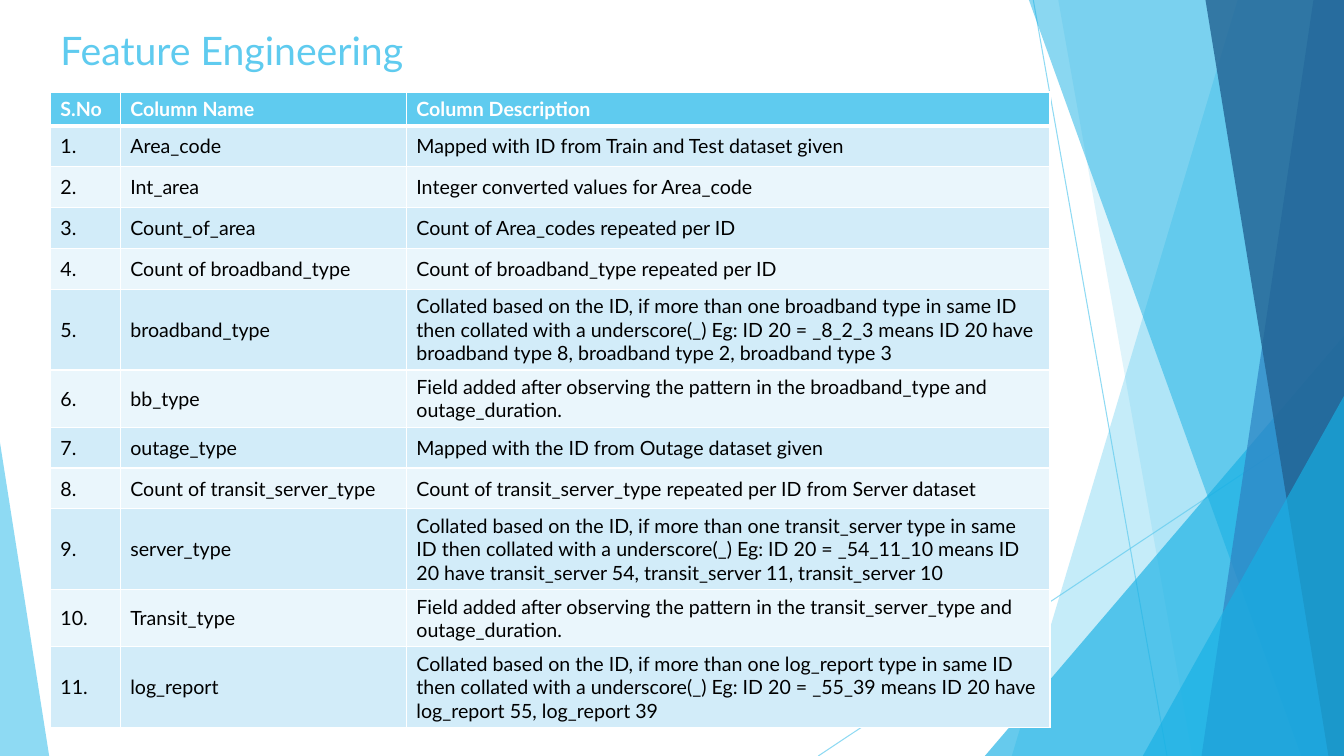
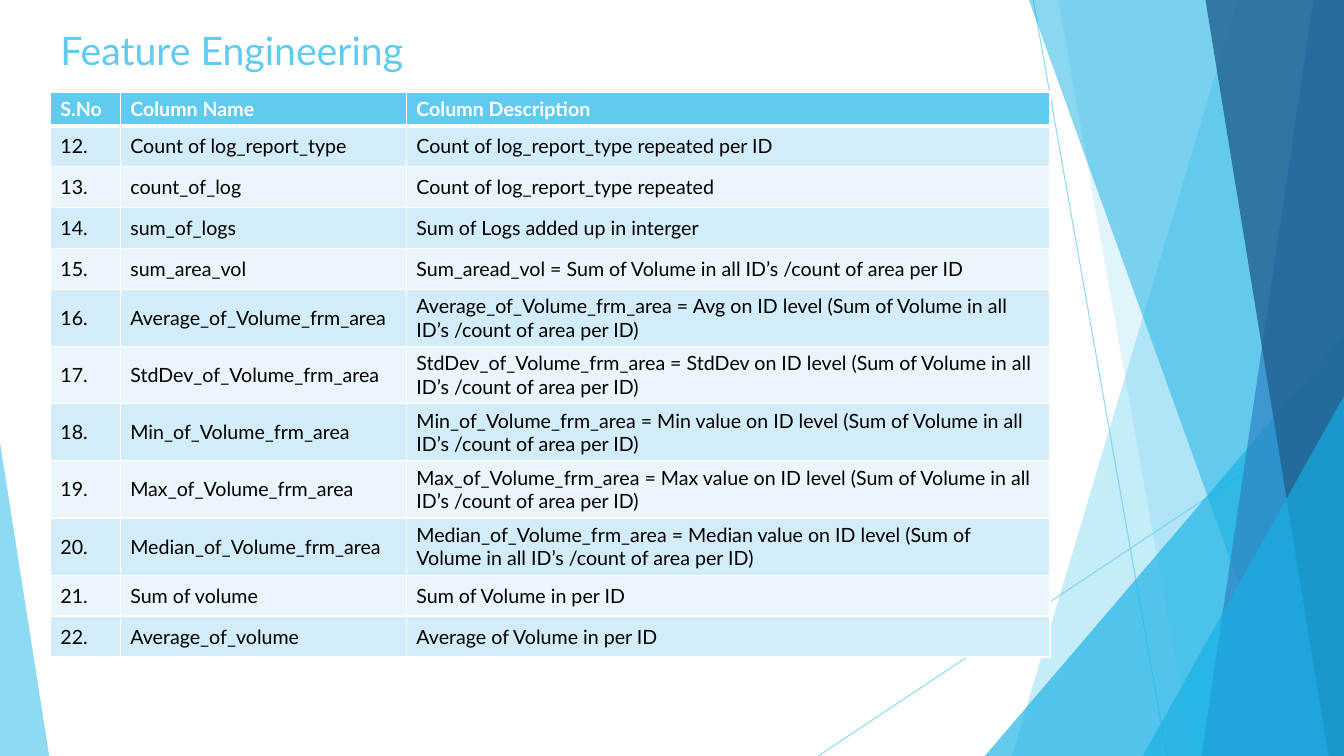
"""Build two feature engineering slides with a shared faceted background."""
import dataclasses

import lxml.etree
import pptx
import pptx.dml.color
import pptx.enum.shapes
import pptx.enum.text
import pptx.oxml.ns
import pptx.util

Cm = pptx.util.Cm
Pt = pptx.util.Pt
qn = pptx.oxml.ns.qn


@dataclasses.dataclass(frozen=True)
class Theme:
    """Colours, type sizes and line widths of the presentation."""

    sky: str = "5FCBEF"
    cyan: str = "17B0E4"
    blue: str = "2E83C3"
    navy: str = "226292"
    white: str = "FFFFFF"
    black: str = "000000"
    bands: tuple = ("D2ECF9", "EAF6FC")
    font: str = "Lato"
    title_size: int = 28
    table_size: int = 14
    ray_width: float = 0.75
    border_width: int = 1
    header_rule_width: int = 3


THEME = Theme()
SLIDE_WIDTH = 33.87
SLIDE_HEIGHT = 19.05
TITLE = "Feature Engineering"
HEADERS = ("S.No", "Column Name", "Column Description")
COLUMN_WIDTHS = (1.76, 7.21, 16.22)
HEADER_HEIGHT = 0.8
ROW_HEIGHT = 1.03

RAYS = (
    ((26.04, 0), (29.41, SLIDE_HEIGHT)),
    ((SLIDE_WIDTH, 10.24), (20.62, SLIDE_HEIGHT)),
)
BACK_FACETS = (
    (31.19, 25.5, THEME.sky, 36),
    (26.67, 30.05, THEME.sky, 20),
)
FRONT_FACETS = (
    (25.93, 32.79, THEME.cyan, 50),
    (33.1, 30.28, THEME.blue, 70),
    (30.38, 33.48, THEME.navy, 80),
)
LARGE_CORNER = (24.82, 8.46, 9.05, 1, THEME.cyan, 66)
SMALL_CORNER = (28.8, 9.98, 5.07, 1, THEME.cyan, 66)
LEFT_CORNER = (0, 11.15, 1.24, 0, THEME.sky, 70)

SOURCE_FEATURES = (
    ("Area_code", "Mapped with ID from Train and Test dataset given"),
    ("Int_area", "Integer converted values for Area_code"),
    ("Count_of_area", "Count of Area_codes repeated per ID"),
    ("Count of broadband_type", "Count of broadband_type repeated per ID"),
    ("broadband_type",
     "Collated based on the ID, if more than one broadband type in same ID "
     "then collated with a underscore(_) Eg: ID 20 = _8_2_3 means ID 20 have "
     "broadband type 8, broadband type 2, broadband type 3"),
    ("bb_type",
     "Field added after observing the pattern in the broadband_type and "
     "outage_duration."),
    ("outage_type", "Mapped with the ID from Outage dataset given"),
    ("Count of transit_server_type",
     "Count of transit_server_type repeated per ID from Server dataset"),
    ("server_type",
     "Collated based on the ID, if more than one transit_server type in same "
     "ID then collated with a underscore(_) Eg: ID 20 = _54_11_10 means ID "
     "20 have transit_server 54, transit_server 11, transit_server 10"),
    ("Transit_type",
     "Field added after observing the pattern in the transit_server_type and "
     "outage_duration."),
    ("log_report",
     "Collated based on the ID, if more than one log_report type in same ID "
     "then collated with a underscore(_) Eg: ID 20 = _55_39 means ID 20 have "
     "log_report 55, log_report 39"),
)
AREA_VOLUME = "(Sum of Volume in all ID’s /count of area per ID)"
VOLUME_FEATURES = (
    ("Count of log_report_type", "Count of log_report_type repeated per ID"),
    ("count_of_log", "Count of log_report_type repeated"),
    ("sum_of_logs", "Sum of Logs added up in interger"),
    ("sum_area_vol",
     "Sum_aread_vol = Sum of Volume in all ID’s /count of area per ID"),
    *((f"{prefix}_of_Volume_frm_area",
       f"{prefix}_of_Volume_frm_area = {measure} on ID level {AREA_VOLUME}")
      for prefix, measure in (
          ("Average", "Avg"),
          ("StdDev", "StdDev"),
          ("Min", "Min value"),
          ("Max", "Max value"),
          ("Median", "Median value"),
      )),
    ("Sum of volume", "Sum of Volume in per ID"),
    ("Average_of_volume", "Average of Volume in per ID"),
)


def color(value):
    """Return the colour object for a hexadecimal value."""
    return pptx.dml.color.RGBColor.from_string(value)


def apply_format(target, values):
    """Set every attribute named in a dict of format values."""
    for name, value in values.items():
        setattr(target, name, value)


def write_text(text_frame, text, size, text_color, bold=False):
    """Write one formatted run into the first paragraph."""
    run = text_frame.paragraphs[0].add_run()
    run.text = text
    apply_format(run.font, {"name": THEME.font, "size": Pt(size), "bold": bold})
    run.font.color.rgb = color(text_color)


def set_opacity(shape, percent):
    """Make the only colour of a shape partly transparent."""
    rgb = shape._element.spPr.find(".//" + qn("a:srgbClr"))
    lxml.etree.SubElement(rgb, qn("a:alpha"), val=str(percent * 1000))


def paint(shape, fill_color, opacity):
    """Give a shape a translucent fill without outline or shadow."""
    shape.shadow.inherit = False
    shape.line.fill.background()
    shape.fill.solid()
    shape.fill.fore_color.rgb = color(fill_color)
    set_opacity(shape, opacity)


def add_ray(slide, start, end):
    """Draw a thin translucent line across the background."""
    connector = slide.shapes.add_connector(
        pptx.enum.shapes.MSO_CONNECTOR.STRAIGHT,
        *(Cm(value) for value in start + end))
    connector.line.width = Pt(THEME.ray_width)
    connector.line.color.rgb = color(THEME.sky)
    set_opacity(connector, 70)
    lxml.etree.SubElement(connector._element.spPr, qn("a:effectLst"))


def add_facet(slide, top_x, bottom_x, fill_color, opacity):
    """Draw a full-height facet reaching the right slide edge."""
    builder = slide.shapes.build_freeform(Cm(top_x), 0)
    corners = ((SLIDE_WIDTH, 0), (SLIDE_WIDTH, SLIDE_HEIGHT),
               (bottom_x, SLIDE_HEIGHT))
    builder.add_line_segments([(Cm(x), Cm(y)) for x, y in corners], close=True)
    paint(builder.convert_to_shape(), fill_color, opacity)


def add_corner(slide, left, top, width, apex, fill_color, opacity):
    """Draw a right triangle standing on the bottom slide edge."""
    triangle = slide.shapes.add_shape(
        pptx.enum.shapes.MSO_SHAPE.ISOSCELES_TRIANGLE,
        Cm(left), Cm(top), Cm(width), Cm(SLIDE_HEIGHT - top))
    triangle.adjustments[0] = apex
    paint(triangle, fill_color, opacity)


def add_background(slide):
    """Draw the rays, facets and corners shared by all slides."""
    for start, end in RAYS:
        add_ray(slide, start, end)
    for facet in BACK_FACETS:
        add_facet(slide, *facet)
    add_corner(slide, *LARGE_CORNER)
    for facet in FRONT_FACETS:
        add_facet(slide, *facet)
    for corner in (SMALL_CORNER, LEFT_CORNER):
        add_corner(slide, *corner)


def add_title(slide, text):
    """Add the slide title."""
    title = slide.shapes.add_textbox(Cm(1.27), Cm(0.53), Cm(9.93), Cm(1.78))
    title.text_frame.word_wrap = True
    write_text(title.text_frame, text, THEME.title_size, THEME.sky)


def set_borders(cell, top_width, bottom_width):
    """Draw white borders around a table cell."""
    widths = {"a:lnL": THEME.border_width, "a:lnR": THEME.border_width,
              "a:lnT": top_width, "a:lnB": bottom_width}
    properties = cell._tc.get_or_add_tcPr()
    for tag, width in widths.items():
        border = lxml.etree.SubElement(properties, qn(tag), w=str(Pt(width)))
        fill = lxml.etree.SubElement(border, qn("a:solidFill"))
        lxml.etree.SubElement(fill, qn("a:srgbClr"), val=THEME.white)


def fill_row(table, row_index, texts):
    """Write and style one table row as header or band."""
    is_header = row_index == 0
    anchors = pptx.enum.text.MSO_ANCHOR
    top_width = THEME.header_rule_width if row_index == 1 else THEME.border_width
    bottom_width = THEME.header_rule_width if is_header else THEME.border_width
    fill_color = THEME.sky if is_header else THEME.bands[(row_index - 1) % 2]
    text_color = THEME.white if is_header else THEME.black
    table.rows[row_index].height = Cm(HEADER_HEIGHT if is_header else ROW_HEIGHT)
    for column_index, text in enumerate(texts):
        cell = table.cell(row_index, column_index)
        set_borders(cell, top_width, bottom_width)
        cell.fill.solid()
        cell.fill.fore_color.rgb = color(fill_color)
        cell.vertical_anchor = anchors.TOP if is_header else anchors.MIDDLE
        write_text(cell.text_frame, text, THEME.table_size, text_color, is_header)


def add_feature_table(slide, features, first_number):
    """Add a numbered table of features."""
    height = HEADER_HEIGHT + ROW_HEIGHT * len(features)
    table = slide.shapes.add_table(
        len(features) + 1, len(HEADERS), Cm(1.27), Cm(2.32),
        Cm(sum(COLUMN_WIDTHS)), Cm(height)).table
    for column, width in zip(table.columns, COLUMN_WIDTHS):
        column.width = Cm(width)
    fill_row(table, 0, HEADERS)
    for row_index, feature in enumerate(features, start=1):
        number = f"{first_number + row_index - 1}."
        fill_row(table, row_index, (number, *feature))


def main():
    """Build and save the presentation."""
    presentation = pptx.Presentation()
    apply_format(presentation, {"slide_width": Cm(SLIDE_WIDTH),
                                "slide_height": Cm(SLIDE_HEIGHT)})
    first_number = 1
    for features in (SOURCE_FEATURES, VOLUME_FEATURES):
        slide = presentation.slides.add_slide(presentation.slide_layouts[6])
        add_background(slide)
        add_title(slide, TITLE)
        add_feature_table(slide, features, first_number)
        first_number += len(features)
    presentation.save("out.pptx")


if __name__ == "__main__":
    main()
